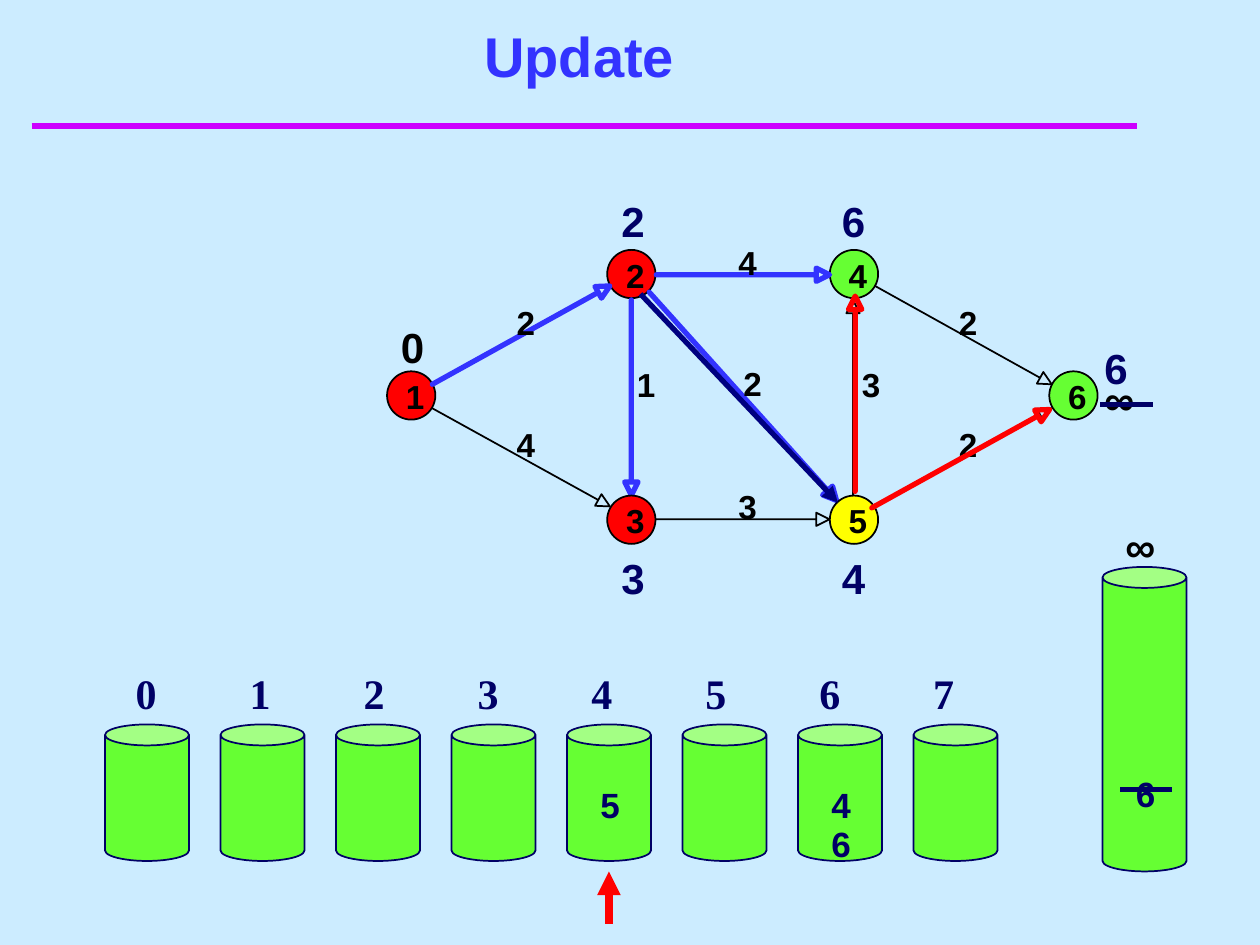
from math import hypot
from typing import NamedTuple

from lxml import etree
from pptx import Presentation
from pptx.dml.color import RGBColor
from pptx.enum.shapes import MSO_CONNECTOR, MSO_SHAPE
from pptx.enum.text import MSO_ANCHOR, PP_ALIGN
from pptx.oxml.ns import qn
from pptx.util import Pt

STRAIGHT = MSO_CONNECTOR.STRAIGHT
OVAL, CAN = MSO_SHAPE.OVAL, MSO_SHAPE.CAN
CENTER, BOTTOM = PP_ALIGN.CENTER, MSO_ANCHOR.BOTTOM

SKY = RGBColor(0xCC, 0xEC, 0xFF)
MAGENTA = RGBColor(0xCC, 0x00, 0xFF)
BLUE = RGBColor(0x33, 0x33, 0xFF)
NAVY = RGBColor(0x00, 0x00, 0x66)
DARK_BLUE = RGBColor(0x00, 0x00, 0x80)
RED = RGBColor(0xFF, 0x00, 0x00)
GREEN = RGBColor(0x66, 0xFF, 0x33)
YELLOW = RGBColor(0xFF, 0xFF, 0x00)
BLACK = RGBColor(0x00, 0x00, 0x00)

NODE_SIZE = 27.6
HEAD_LENGTH, HEAD_HALF = 7.6, 3.8
BUCKET_WIDTH, BUCKET_HEIGHT = 48, 78


class Node(NamedTuple):
    name: str
    x: float
    y: float
    fill: RGBColor


class Edge(NamedTuple):
    start: tuple[float, float]
    tip: tuple[float, float]
    color: RGBColor
    width: float


class Label(NamedTuple):
    text: str
    left: float
    top: float
    width: float = 36
    color: RGBColor = NAVY
    size: float = 24
    font: str = "Arial"


class Stroke(NamedTuple):
    start: tuple[float, float]
    end: tuple[float, float]
    color: RGBColor
    width: float
    arrow: bool = False


BASE_NODES = [
    Node("1", 235, 226, RED),
    Node("2", 360.8, 156.6, RED),
    Node("4", 488, 156.6, GREEN),
    Node("6", 613.4, 226, GREEN),
]
FRONT_NODES = [Node("3", 360.8, 297, RED), Node("5", 488, 297, YELLOW)]

EDGES = [
    Edge((247, 219.6), (348.5, 163.4), BLUE, 3),
    Edge((375, 157), (474, 157), BLUE, 3),
    Edge((371, 167), (478, 286), BLUE, 3),
    Edge((360.8, 171.4), (360.8, 283), BLUE, 3),
    Edge((375, 296.8), (474, 296.8), BLACK, 1),
    Edge((247, 233.3), (348.5, 289.4), BLACK, 1),
    Edge((500, 163.4), (601, 219.6), BLACK, 1),
    Edge((487.5, 283), (487.5, 171.4), BLACK, 1),
    Edge((500, 289.4), (601, 233.3), BLACK, 1),
]
RELAXED_EDGES = [
    Edge((488.7, 280.8), (488.7, 169.2), RED, 3),
    Edge((498.2, 290.2), (599.8, 234), RED, 3),
]
WEIGHTS = [
    ("2", 295.2, 172.8), ("4", 422, 138.2), ("2", 424.8, 207.4),
    ("1", 364, 208), ("3", 422, 278), ("4", 295.2, 242.6),
    ("2", 548, 172.8), ("3", 492.5, 208), ("2", 548, 242.6),
]
DISTANCES = [
    Label("0", 222, 180, 30, BLACK),
    Label("2", 348, 108),
    Label("3", 348, 312),
    Label("6", 474, 108),
    Label("4", 474, 312),
    Label("∞", 624, 210, 30, BLACK),
    Label("6", 624, 192),
]
BUCKET_CONTENTS = [
    Label("∞", 636, 294, 30, BLACK),
    Label("6", 642, 438, 24, size=20),
    Label("4", 468, 444, 24, size=20),
    Label("6", 468, 466.6, 24, size=20),
    Label("5", 336, 444, 24, size=20),
]
STROKES = [
    Stroke((658.8, 231.2), (628.6, 231.2), NAVY, 3),
    Stroke((669.6, 451.2), (640, 451.2), NAVY, 3),
    Stroke((348, 528), (348, 498), RED, 4.5, True),
    Stroke((366, 168), (478.8, 287.2), DARK_BLUE, 3, True),
]


def add_text(page, label: Label, height: float, inset: bool = True):
    box = page.shapes.add_textbox(
        Pt(label.left), Pt(label.top), Pt(label.width), Pt(height))
    frame = box.text_frame
    frame.word_wrap = inset
    if not inset:
        frame.margin_left = frame.margin_right = 0
        frame.margin_top = frame.margin_bottom = 0
    paragraph = frame.paragraphs[0]
    paragraph.text = label.text
    font = paragraph.font
    font.name, font.size, font.bold = label.font, Pt(label.size), True
    font.color.rgb = label.color
    return frame


def add_graph_number(page, text: str, left: float, top: float) -> None:
    add_text(page, Label(text, left, top, 11, BLACK, 19), 23, inset=False)


def add_solid(page, kind, left: float, top: float, width: float,
              height: float, fill: RGBColor, line: RGBColor) -> None:
    shape = page.shapes.add_shape(kind, Pt(left), Pt(top), Pt(width), Pt(height))
    shape.shadow.inherit = False
    shape.fill.solid()
    shape.fill.fore_color.rgb = fill
    shape.line.color.rgb = line
    shape.line.width = Pt(1)


def add_node(page, node: Node) -> None:
    radius = NODE_SIZE / 2
    add_solid(page, OVAL, node.x - radius, node.y - radius,
              NODE_SIZE, NODE_SIZE, node.fill, BLACK)
    add_graph_number(page, node.name, node.x - 3, node.y - 11)


def add_edge(page, edge: Edge) -> None:
    """Draw an edge as one outline ending in a hollow arrowhead."""
    (x1, y1), (x2, y2) = edge.start, edge.tip
    length = hypot(x2 - x1, y2 - y1)
    ux, uy = (x2 - x1) / length, (y2 - y1) / length
    neck = (x2 - ux * HEAD_LENGTH, y2 - uy * HEAD_LENGTH)
    wings = [(neck[0] - side * uy * HEAD_HALF, neck[1] + side * ux * HEAD_HALF)
             for side in (1, -1)]
    outline = [neck, wings[0], edge.tip, wings[1], neck]
    builder = page.shapes.build_freeform(Pt(x1), Pt(y1))
    builder.add_line_segments([(Pt(x), Pt(y)) for x, y in outline], close=True)
    shape = builder.convert_to_shape()
    shape.shadow.inherit = False
    shape.fill.background()
    shape.line.color.rgb = edge.color
    shape.line.width = Pt(edge.width)


def add_stroke(page, stroke: Stroke) -> None:
    ends = [Pt(value) for value in (*stroke.start, *stroke.end)]
    connector = page.shapes.add_connector(STRAIGHT, *ends)
    connector.line.color.rgb = stroke.color
    connector.line.width = Pt(stroke.width)
    if stroke.arrow:
        line = connector.line._get_or_add_ln()
        etree.SubElement(line, qn("a:tailEnd"), type="triangle")
    etree.SubElement(connector._element.spPr, qn("a:effectLst"))


def main() -> None:
    deck = Presentation()
    deck.slide_width, deck.slide_height = Pt(720), Pt(540)
    page = deck.slides.add_slide(deck.slide_layouts[6])
    page.background.fill.solid()
    page.background.fill.fore_color.rgb = SKY

    add_stroke(page, Stroke((18, 72), (650, 72), MAGENTA, 4))
    title = add_text(page, Label("Update", 25, 12, 612, BLUE, 32), 42)
    title.vertical_anchor = BOTTOM
    title.paragraphs[0].alignment = CENTER

    for node in BASE_NODES:
        add_node(page, node)
    for edge, weight in zip(EDGES, WEIGHTS):
        add_edge(page, edge)
        add_graph_number(page, *weight)
    for node in FRONT_NODES:
        add_node(page, node)
    for edge in RELAXED_EDGES:
        add_edge(page, edge)

    for index in range(8):
        add_solid(page, CAN, 60 + 66 * index, 414,
                  BUCKET_WIDTH, BUCKET_HEIGHT, GREEN, NAVY)
        add_text(page, Label(str(index), 70.5 + 65.1 * index, 378,
                             font="Times New Roman"), 36)
    add_solid(page, CAN, 630, 324, BUCKET_WIDTH, 174, GREEN, NAVY)

    for label in DISTANCES + BUCKET_CONTENTS:
        add_text(page, label, label.size * 1.5)
    for stroke in STROKES:
        add_stroke(page, stroke)
    deck.save("out.pptx")


if __name__ == "__main__":
    main()
